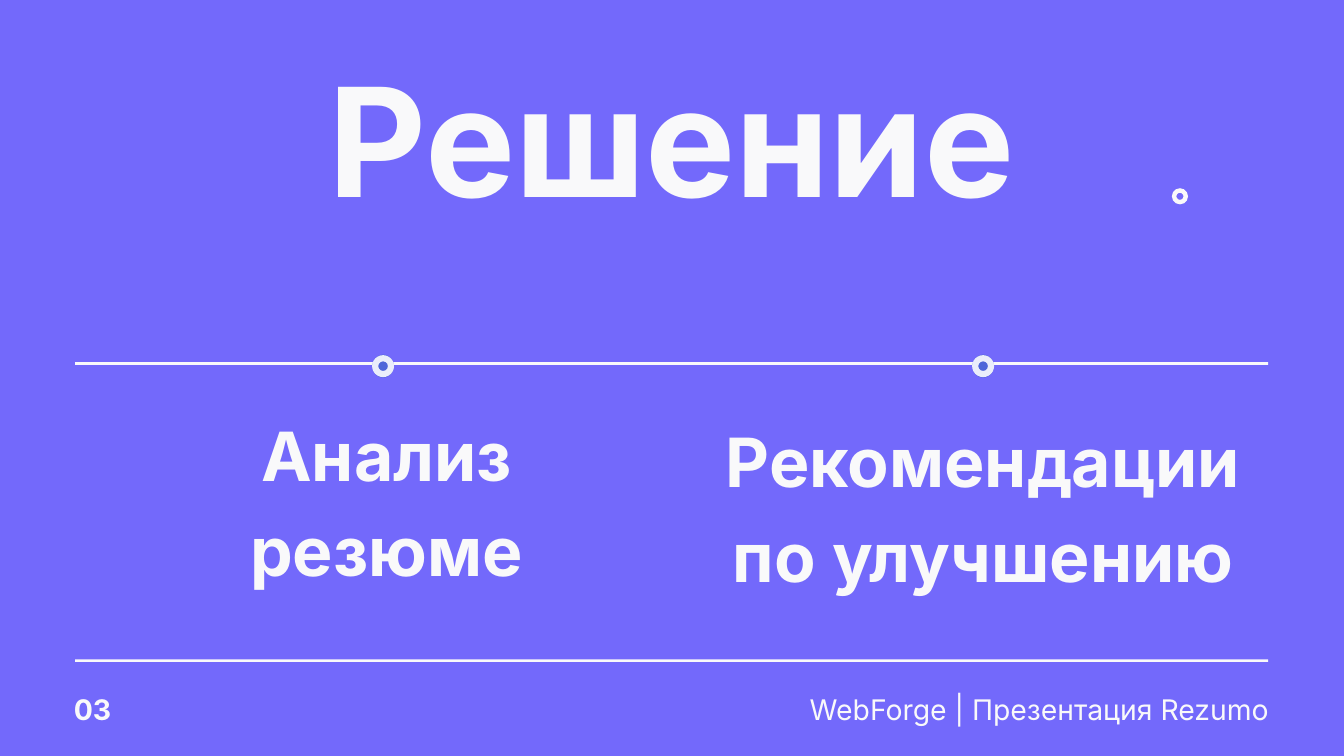
from dataclasses import dataclass

from pptx import Presentation
from pptx.dml.color import RGBColor
from pptx.enum.shapes import MSO_SHAPE
from pptx.enum.text import MSO_AUTO_SIZE, PP_ALIGN
from pptx.util import Cm, Pt

RECT, OVAL, DONUT = MSO_SHAPE.RECTANGLE, MSO_SHAPE.OVAL, MSO_SHAPE.DONUT
LEFT, CENTER, RIGHT = PP_ALIGN.LEFT, PP_ALIGN.CENTER, PP_ALIGN.RIGHT
NO_FIT = MSO_AUTO_SIZE.NONE


@dataclass(frozen=True)
class Theme:
    font: str = "Inter"
    background: str = "7369FB"
    light: str = "F9F9FA"
    ring: str = "EAEDFB"
    core: str = "4E65D9"
    title: tuple = (162.3, 178.5)
    heading: tuple = (72.7, 101.7)
    footer: tuple = (30.4, 42.6)


THEME = Theme()


def add_figure(s, kind, box, color):
    sp = s.shapes.add_shape(kind, *map(Cm, box))
    sp.shadow.inherit = False
    sp.fill.solid()
    sp.fill.fore_color.rgb = RGBColor.from_string(color)
    sp.line.fill.background()
    return sp


def add_rule(s, top):
    add_figure(s, RECT, (2.84, top, 45.09, 0.1), THEME.light)


def centered(x, y, w, h):
    return x - w / 2, y - h / 2, w, h


def add_ring(s, x, y, size, color):
    sp = add_figure(s, DONUT, centered(x, y, size, size), color)
    sp.adjustments[0] = 0.28


def add_marker(s, x, y):
    add_figure(s, OVAL, centered(x, y, 0.81, 0.87), THEME.core)
    add_ring(s, x, y, 0.83, THEME.ring)


def add_text(s, box, lines, style, align=CENTER, bold=True):
    tf = s.shapes.add_textbox(*map(Cm, box)).text_frame
    frame = {"word_wrap": True, "auto_size": NO_FIT, "margin_left": 0,
             "margin_top": 0, "margin_right": 0, "margin_bottom": 0}
    for name, value in frame.items():
        setattr(tf, name, value)
    size, spacing = style
    font = {"name": THEME.font, "size": Pt(size), "bold": bold}
    for i, line in enumerate(lines):
        p = tf.add_paragraph() if i else tf.paragraphs[0]
        p.alignment = align
        p.line_spacing = Pt(spacing)
        r = p.add_run()
        r.text = line
        for name, value in font.items():
            setattr(r.font, name, value)
        r.font.color.rgb = RGBColor.from_string(THEME.light)


def main():
    prs = Presentation()
    prs.slide_width, prs.slide_height = Cm(50.8), Cm(28.575)
    s = prs.slides.add_slide(prs.slide_layouts[6])
    s.background.fill.solid()
    s.background.fill.fore_color.rgb = RGBColor.from_string(THEME.background)

    for top in (13.69, 24.92):
        add_rule(s, top)
    for x in (14.48, 37.16):
        add_marker(s, x, 13.84)
    add_ring(s, 44.6, 7.42, 0.61, THEME.light)

    add_text(s, (11.05, 2.31, 28.68, 6.45), ["Решение"], THEME.title)
    add_text(s, (5.46, 15.11, 18.31, 7.04), ["Анализ резюме"], THEME.heading)
    add_text(s, (27.36, 15.37, 19.61, 7.04),
             ["Рекомендации", "по улучшению"], THEME.heading)
    add_text(s, (2.79, 25.93, 3.91, 1.42), ["03"], THEME.footer, LEFT)
    add_text(s, (14.61, 25.93, 33.35, 1.42),
             ["WebForge | Презентация Rezumo"], THEME.footer, RIGHT, False)
    prs.save("out.pptx")


if __name__ == "__main__":
    main()
